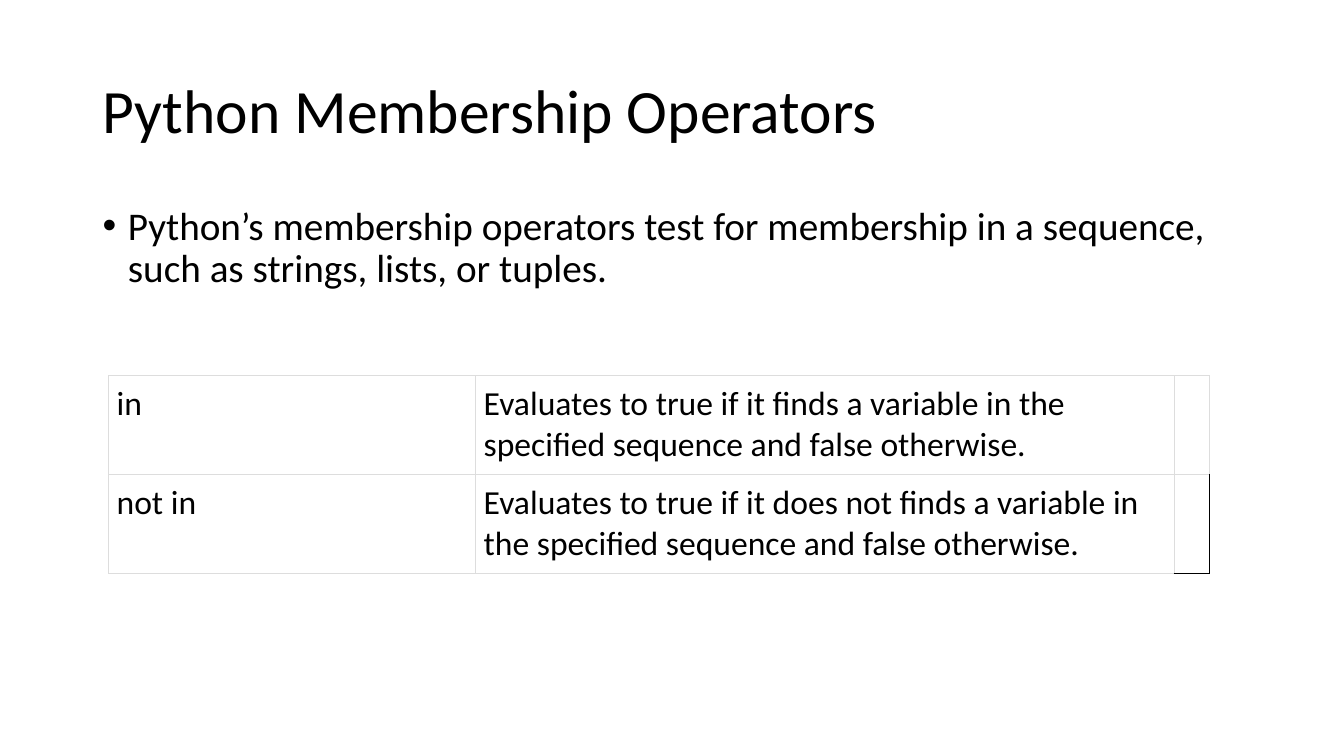
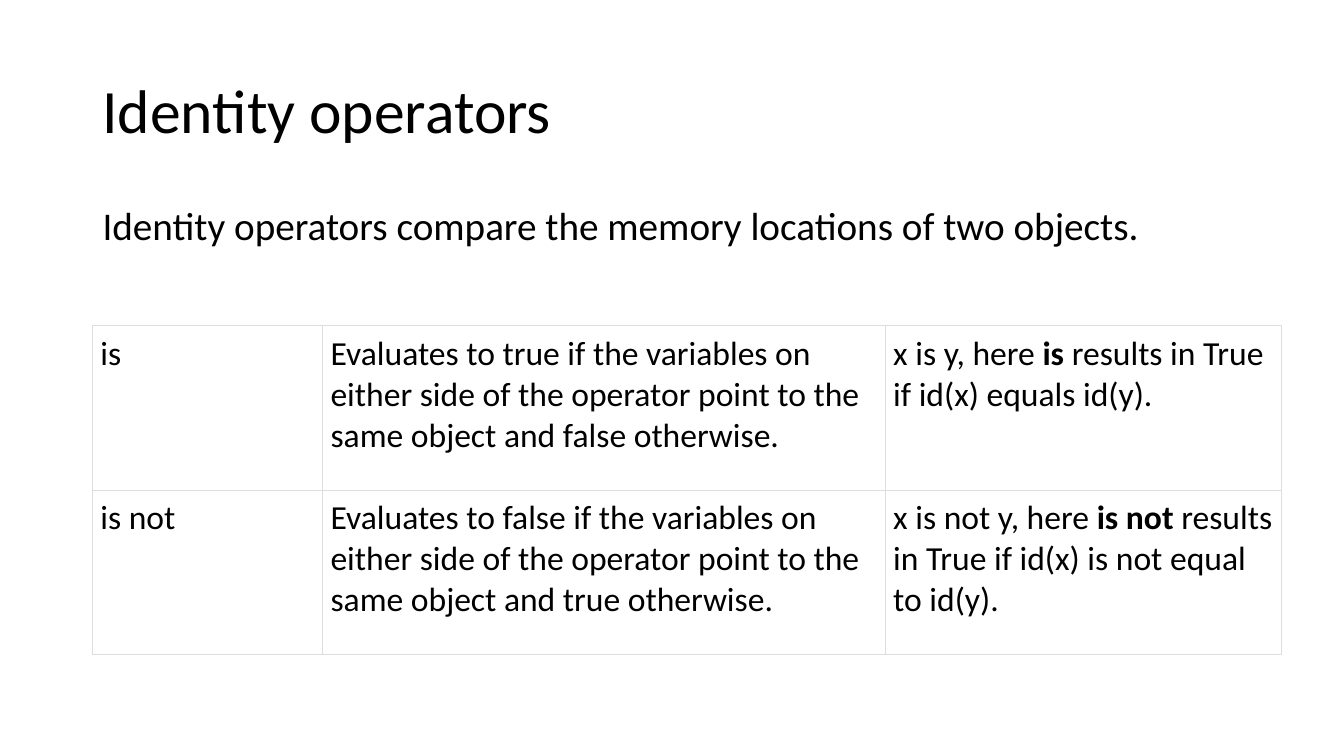
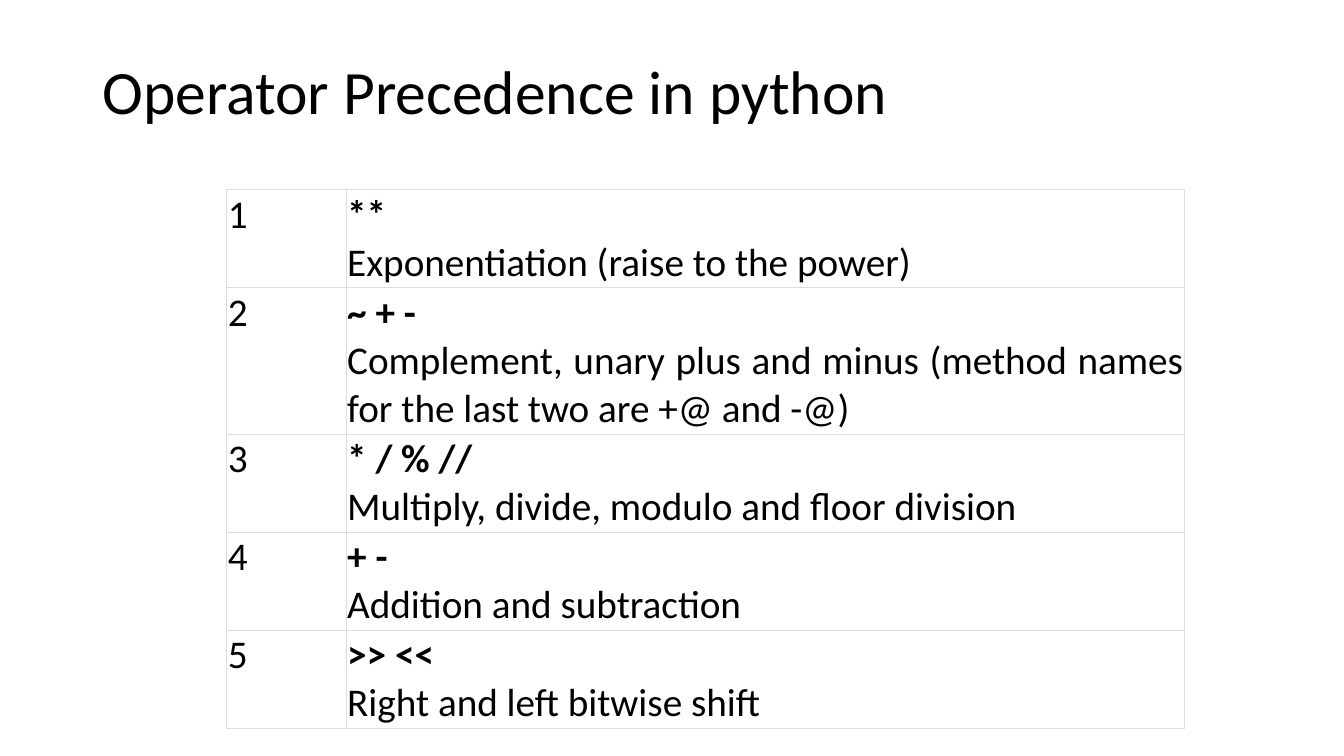
from dataclasses import dataclass
from typing import NamedTuple

from lxml import etree
from pptx import Presentation
from pptx.dml.color import RGBColor
from pptx.enum.text import MSO_ANCHOR, MSO_AUTO_SIZE, PP_ALIGN
from pptx.oxml.ns import qn
from pptx.util import Cm, Pt

LEFT, JUSTIFY = PP_ALIGN.LEFT, PP_ALIGN.JUSTIFY
TOP, MIDDLE = MSO_ANCHOR.TOP, MSO_ANCHOR.MIDDLE
NO_AUTOFIT = MSO_AUTO_SIZE.NONE
TITLE_AND_BODY, TITLE_ONLY = 1, 5
BORDER_SIDES = ("lnL", "lnR", "lnT", "lnB")


@dataclass(frozen=True)
class Theme:
    font: str = "Calibri"
    text: str = "000000"
    grid: str = "DDDDDD"
    grid_width: float = 0.75
    title_size: int = 44
    body_size: int = 28
    line_spacing: float = 0.9
    bullet_indent: float = 0.64


THEME = Theme()


class Box(NamedTuple):
    """Left, top, width and height in centimetres."""
    left: float
    top: float
    width: float
    height: float


class Span(NamedTuple):
    text: str
    bold: bool = False


@dataclass(frozen=True)
class Body:
    text: str
    box: Box
    bullet: bool


@dataclass(frozen=True)
class Grid:
    """A table; each cell is a list of paragraphs, each a list of spans."""
    left: float
    top: float
    columns: tuple[float, ...]
    row_heights: tuple[float, ...]
    cells: list[list[list[list[Span]]]]
    margin: float
    size: int
    last_column_alignment: PP_ALIGN = LEFT
    dark_corner: bool = False


@dataclass(frozen=True)
class Page:
    title: str
    title_height: float
    grid: Grid
    body: Body | None = None


def plain(text: str) -> list[list[Span]]:
    return [[Span(text)]]


def example(before: str, operator: str, after: str) -> list[list[Span]]:
    return [[Span(before), Span(operator, True), Span(after)]]


def precedence_row(level: int, operators: str, meaning: str) -> list[list[list[Span]]]:
    return [plain(str(level)), [[Span(operators, True)], [Span(meaning)]]]


PAGES = [
    Page(
        "Python Membership Operators", 3.68,
        Grid(
            2.74, 9.47, (9.25, 17.6, 0.89), (2.49, 2.49),
            [
                [plain("in"),
                 plain("Evaluates to true if it finds a variable in the specified "
                       "sequence and false otherwise."), []],
                [plain("not in"),
                 plain("Evaluates to true if it does not finds a variable in the "
                       "specified sequence and false otherwise."), []],
            ],
            margin=0.2, size=24, dark_corner=True,
        ),
        Body("Python’s membership operators test for membership in a sequence, "
             "such as strings, lists, or tuples.", Box(2.33, 5.07, 29.21, 12.09), True),
    ),
    Page(
        "Identity operators", 3.68,
        Grid(
            2.33, 8.2, (5.8, 14.18, 9.99), (4.15, 4.15),
            [
                [plain("is"),
                 plain("Evaluates to true if the variables on either side of the "
                       "operator point to the same object and false otherwise."),
                 example("x is y, here ", "is", " results in True if id(x) equals id(y).")],
                [plain("is not"),
                 plain("Evaluates to false if the variables on either side of the "
                       "operator point to the same object and true otherwise."),
                 example("x is not y, here ", "is not",
                         " results in True if id(x) is not equal to id(y).")],
            ],
            margin=0.2, size=24,
        ),
        Body("Identity operators compare the memory locations of two objects.",
             Box(2.33, 5.07, 29.21, 2.41), False),
    ),
    Page(
        "Operator Precedence in python", 2.72,
        Grid(
            5.71, 4.78, (3.01, 21.13), (2.46, 3.68, 2.46, 2.46, 2.46),
            [
                precedence_row(1, "**", "Exponentiation (raise to the power)"),
                precedence_row(2, "~ + -", "Complement, unary plus and minus (method "
                                           "names for the last two are +@ and -@)"),
                precedence_row(3, "* / % //", "Multiply, divide, modulo and floor division"),
                precedence_row(4, "+ -", "Addition and subtraction"),
                precedence_row(5, ">> <<", "Right and left bitwise shift"),
            ],
            margin=0.03, size=28, last_column_alignment=JUSTIFY,
        ),
    ),
]


def style_font(font, size: int, bold: bool = False) -> None:
    font.name = THEME.font
    font.size = Pt(size)
    font.bold = bold
    font.color.rgb = RGBColor.from_string(THEME.text)


def set_bullet(paragraph, bullet: bool) -> None:
    properties = paragraph._p.get_or_add_pPr()
    indent = Cm(THEME.bullet_indent) if bullet else 0
    properties.set("marL", str(indent))
    properties.set("indent", str(-indent))
    if bullet:
        etree.SubElement(properties, qn("a:buFont")).set("typeface", "Arial")
        etree.SubElement(properties, qn("a:buChar")).set("char", "•")
    else:
        etree.SubElement(properties, qn("a:buNone"))


def fill_placeholder(shape, text: str, box: Box, size: int, anchor: MSO_ANCHOR,
                     bullet: bool = False) -> None:
    shape.left, shape.top, shape.width, shape.height = map(Cm, box)
    frame = shape.text_frame
    frame.text = text
    frame.word_wrap = True
    frame.auto_size = NO_AUTOFIT
    frame.vertical_anchor = anchor
    paragraph = frame.paragraphs[0]
    set_bullet(paragraph, bullet)
    paragraph.alignment = LEFT
    paragraph.line_spacing = THEME.line_spacing
    paragraph.space_before = Pt(0)
    style_font(paragraph.runs[0].font, size)


def set_borders(cell, dark_sides: tuple[str, ...]) -> None:
    properties = cell._tc.get_or_add_tcPr()
    for side in BORDER_SIDES:
        line = etree.SubElement(properties, qn(f"a:{side}"))
        line.set("w", str(Pt(THEME.grid_width)))
        solid = etree.SubElement(line, qn("a:solidFill"))
        color = THEME.text if side in dark_sides else THEME.grid
        etree.SubElement(solid, qn("a:srgbClr")).set("val", color)


def write_cell(cell, paragraphs: list[list[Span]], size: int, alignment: PP_ALIGN) -> None:
    frame = cell.text_frame
    for index, spans in enumerate(paragraphs):
        paragraph = frame.add_paragraph() if index else frame.paragraphs[0]
        paragraph.alignment = alignment
        for span in spans:
            run = paragraph.add_run()
            run.text = span.text
            style_font(run.font, size, span.bold)


def add_grid(slide, grid: Grid) -> None:
    last_row, last_column = len(grid.row_heights) - 1, len(grid.columns) - 1
    table = slide.shapes.add_table(
        last_row + 1, last_column + 1, Cm(grid.left), Cm(grid.top),
        Cm(sum(grid.columns)), Cm(sum(grid.row_heights))).table
    table.first_row = table.horz_banding = False
    for column, width in zip(table.columns, grid.columns):
        column.width = Cm(width)
    for row_index, row in enumerate(table.rows):
        row.height = Cm(grid.row_heights[row_index])
        for column_index, cell in enumerate(row.cells):
            is_last = column_index == last_column
            is_corner = is_last and row_index == last_row
            set_borders(cell, ("lnR", "lnB") if grid.dark_corner and is_corner else ())
            cell.fill.background()
            cell.margin_left = cell.margin_right = Cm(grid.margin)
            cell.margin_top = cell.margin_bottom = Cm(grid.margin)
            write_cell(cell, grid.cells[row_index][column_index], grid.size,
                       grid.last_column_alignment if is_last else LEFT)


def add_page(presentation, page: Page) -> None:
    layout = TITLE_AND_BODY if page.body else TITLE_ONLY
    slide = presentation.slides.add_slide(presentation.slide_layouts[layout])
    fill_placeholder(slide.shapes.title, page.title,
                     Box(2.33, 1.01, 29.21, page.title_height), THEME.title_size, MIDDLE)
    if page.body:
        fill_placeholder(slide.placeholders[1], page.body.text, page.body.box,
                         THEME.body_size, TOP, page.body.bullet)
    add_grid(slide, page.grid)


def main() -> None:
    presentation = Presentation()
    presentation.slide_width, presentation.slide_height = Cm(33.87), Cm(19.05)
    for page in PAGES:
        add_page(presentation, page)
    presentation.save("out.pptx")


if __name__ == "__main__":
    main()
